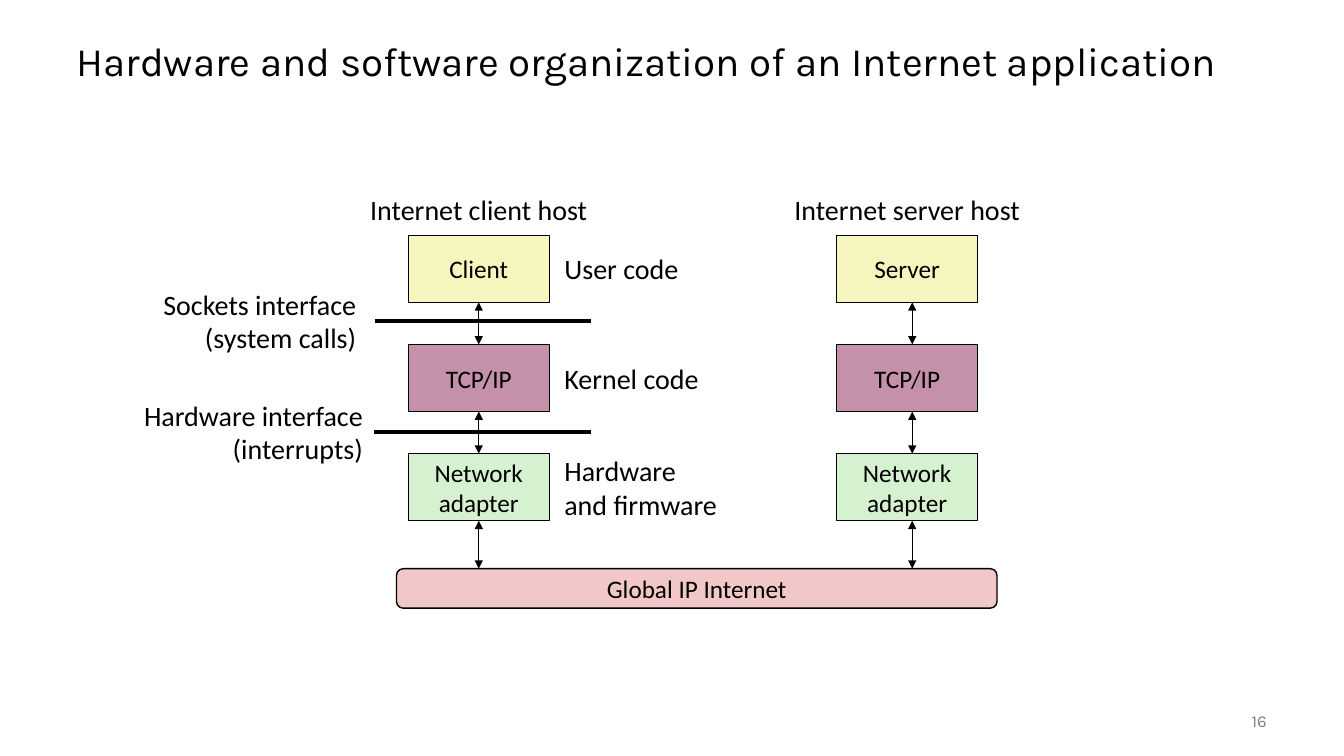
import lxml.etree
import pptx
import pptx.dml.color
import pptx.enum.shapes
import pptx.enum.text
import pptx.oxml.ns
import pptx.util

COLUMNS, ROWS = 160, 90
SLIDE_WIDTH, SLIDE_HEIGHT = pptx.util.Emu(12192000), pptx.util.Emu(6858000)
SHAPES = pptx.enum.shapes.MSO_SHAPE
ALIGN = pptx.enum.text.PP_ALIGN
MIDDLE = pptx.enum.text.MSO_ANCHOR.MIDDLE
BLACK = "000000"

LAYER_WIDTH, LAYER_HEIGHT, LAYER_PITCH = 16.8, 8, 13
LAYER_FILLS = ["F6F5BD", "C490AA", "D5F1CF"]
BODY = {"name": "Calibri", "size": pptx.util.Pt(18)}
LABEL = {"name": "Calibri", "size": pptx.util.Pt(20)}
TITLE = {"name": "Karla", "size": pptx.util.Pt(28.8)}
FOOTER = {"name": "Karla", "size": pptx.util.Pt(12)}


def color(value):
    return pptx.dml.color.RGBColor.from_string(value)


def across(columns):
    return round(SLIDE_WIDTH * columns / COLUMNS)


def down(rows):
    return round(SLIDE_HEIGHT * rows / ROWS)


def place(box):
    left, top, width, height = box
    return across(left), down(top), across(width), down(height)


def write(frame, lines, style, align=ALIGN.LEFT, ink=BLACK, wrap=False):
    frame.word_wrap = wrap
    frame.vertical_anchor = MIDDLE
    for index, line in enumerate(lines):
        paragraph = frame.add_paragraph() if index else frame.paragraphs[0]
        paragraph.alignment = align
        run = paragraph.add_run()
        run.text = line
        for key, value in style.items():
            setattr(run.font, key, value)
        run.font.color.rgb = color(ink)


def add_label(slide, box, lines, align=ALIGN.LEFT):
    label = slide.shapes.add_textbox(*place(box))
    write(label.text_frame, lines, LABEL, align)


def add_block(slide, kind, box, fill, lines):
    block = slide.shapes.add_shape(kind, *place(box))
    block.shadow.inherit = False
    block.fill.solid()
    block.fill.fore_color.rgb = color(fill)
    block.line.color.rgb = color(BLACK)
    block.line.width = pptx.util.Pt(1)
    write(block.text_frame, lines, BODY, ALIGN.CENTER)
    return block


def add_line(slide, start, end, weight, arrows=False):
    line = slide.shapes.add_connector(
        pptx.enum.shapes.MSO_CONNECTOR.STRAIGHT,
        across(start[0]), down(start[1]), across(end[0]), down(end[1]))
    line.line.color.rgb = color(BLACK)
    line.line.width = pptx.util.Pt(weight)
    properties = line._element.spPr
    if arrows:
        outline = properties.find(pptx.oxml.ns.qn("a:ln"))
        for tag in ("a:headEnd", "a:tailEnd"):
            lxml.etree.SubElement(outline, pptx.oxml.ns.qn(tag), type="triangle")
    lxml.etree.SubElement(properties, pptx.oxml.ns.qn("a:effectLst"))
    return line


def build_title(slide, box, text):
    title = slide.shapes.title
    title.left, title.top, title.width, title.height = place(box)
    write(title.text_frame, [text], TITLE, wrap=True)
    title.text_frame.paragraphs[0].line_spacing = 0.9


def build_page_number(slide, box, number):
    page_number = slide.shapes.add_textbox(*place(box))
    write(page_number.text_frame, [number], FOOTER, ALIGN.RIGHT, "808080", True)


def build_host(slide, left, top, heading, heading_width, program, network_top, arrow_shift=0):
    center = left + LAYER_WIDTH / 2
    add_label(slide, (center - heading_width / 2, top - 5.7, heading_width, 5.3),
              [heading], ALIGN.CENTER)
    layers = [
        add_block(slide, SHAPES.RECTANGLE,
                  (left, top + index * LAYER_PITCH, LAYER_WIDTH, LAYER_HEIGHT), fill, lines)
        for index, (fill, lines) in enumerate(
            zip(LAYER_FILLS, [[program], ["TCP/IP"], ["Network", "adapter"]]))]
    arrow_x = center + arrow_shift
    for index, layer in enumerate(layers):
        start = top + index * LAYER_PITCH + LAYER_HEIGHT
        lowest = index == len(layers) - 1
        end = network_top if lowest else top + (index + 1) * LAYER_PITCH
        arrow = add_line(slide, (arrow_x, start), (arrow_x, end), 1, True)
        if not arrow_shift:
            arrow.begin_connect(layer, 2)
            if not lowest:
                arrow.end_connect(layers[index + 1], 0)


def build_layer_notes(slide, left, top):
    notes = [(["User code"], 16.2), (["Kernel code"], 18.6), (["Hardware", "and firmware"], 20.8)]
    for index, (lines, width) in enumerate(notes):
        height = 1.3 + 4 * len(lines)
        middle = top + index * LAYER_PITCH + LAYER_HEIGHT / 2
        add_label(slide, (left, middle - height / 2, width, height), lines)


def build_interface(slide, left, middle, lines, label_width, label_gap):
    height = 9.2
    add_label(slide, (left - label_gap - label_width, middle - height / 2, label_width, height),
              lines, ALIGN.RIGHT)
    add_line(slide, (left, middle), (left + 25.8, middle), 3)


def build_network(slide, box):
    network = add_block(slide, SHAPES.ROUNDED_RECTANGLE, box, "F1C7C7", ["Global IP Internet"])
    network.adjustments[0] = 0.17


def main():
    presentation = pptx.Presentation()
    presentation.slide_width, presentation.slide_height = SLIDE_WIDTH, SLIDE_HEIGHT
    slide = presentation.slides.add_slide(presentation.slide_layouts[5])
    build_title(slide, (7.9, 3, 144, 9),
                "Hardware and software organization of an Internet application")
    build_page_number(slide, (140, 83.4, 12, 4.8), "16")
    host_top, network_top = 28, 67.7
    client_left, server_left = 48.6, 99.6
    build_network(slide, (47.2, network_top, 71.5, 4.7))
    build_host(slide, client_left, host_top, "Internet client host", 28.6, "Client", network_top)
    build_host(slide, server_left, host_top, "Internet server host", 29.5, "Server",
               network_top, 0.6)
    build_layer_notes(slide, client_left + LAYER_WIDTH + 0.6, host_top)
    build_interface(slide, 44.6, 38.2, ["Sockets interface", "(system calls)"], 25.7, 1)
    build_interface(slide, 44.5, 51.4, ["Hardware interface", "(interrupts)"], 28.8, 0.1)
    presentation.save("out.pptx")


if __name__ == "__main__":
    main()
